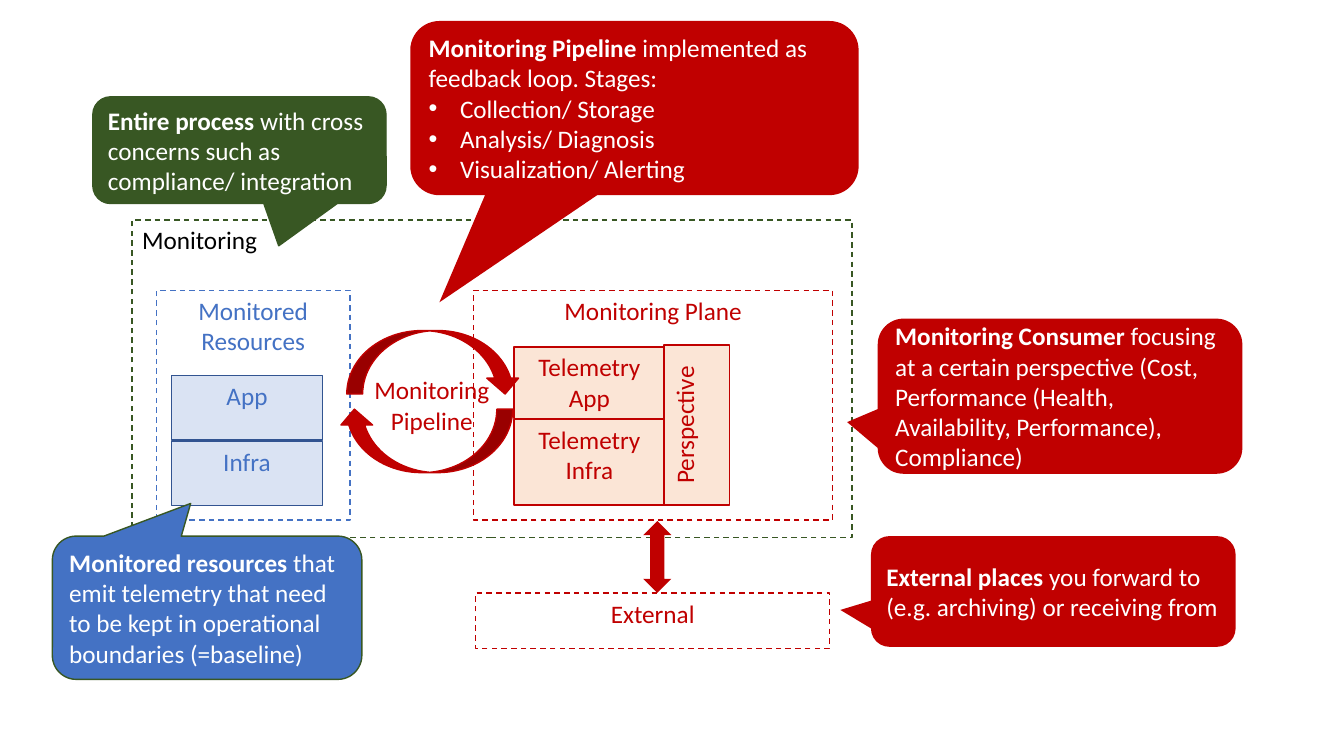
from lxml import etree
from pptx import Presentation
from pptx import util as u
from pptx.dml import color
from pptx.enum import dml, shapes, text
from pptx.oxml import ns

RED, BLUE, GREEN, WHITE = "C00000", "4472C4", "385723", "FFFFFF"
PEACH, PALE_BLUE, DARK_BLUE = "FBE5D6", "DAE3F3", "325491"
SHAPE = shapes.MSO_SHAPE
LEFT, CENTER = text.PP_ALIGN.LEFT, text.PP_ALIGN.CENTER


def rgb(value):
    """Turn a hex string into a colour."""
    return color.RGBColor.from_string(value)


def format_text(frame, ink, align=CENTER, bold_runs=0):
    """Apply font, colour and alignment to every run of a frame."""
    for row, paragraph in enumerate(frame.paragraphs):
        paragraph.alignment = align
        for column, run in enumerate(paragraph.runs):
            run.font.name = "Calibri"
            run.font.size = u.Pt(18)
            run.font.color.rgb = rgb(ink)
            run.font.bold = row == 0 and column < bold_runs


def add_block(parent, kind, box, fill=None, line=None, dashed=False):
    """Add a preset shape with plain fill and outline to a box in cm."""
    shape = parent.add_shape(kind, *map(u.Cm, box))
    shape.shadow.inherit = False
    if fill:
        shape.fill.solid()
        shape.fill.fore_color.rgb = rgb(fill)
    else:
        shape.fill.background()
    if line:
        shape.line.color.rgb = rgb(line)
        shape.line.width = u.Pt(1)
        if dashed:
            shape.line.dash_style = dml.MSO_LINE.DASH
    else:
        shape.line.fill.background()
    return shape


def add_panel(parent, box, label, ink, fill=None, line=None, dashed=False, align=CENTER):
    """Add a rectangle with its label at the top."""
    panel = add_block(parent, SHAPE.RECTANGLE, box, fill, line or ink, dashed)
    panel.text_frame.word_wrap = True
    panel.text_frame.vertical_anchor = text.MSO_ANCHOR.TOP
    panel.text_frame.text = label
    format_text(panel.text_frame, ink, align)
    return panel


def add_callout(parent, box, tail, fill, title, detail, bullets=(), line=None):
    """Add a rounded callout with a bold title, its detail and bullets."""
    callout = add_block(parent, SHAPE.ROUNDED_RECTANGULAR_CALLOUT, box, fill, line)
    for index, value in enumerate((*tail, 0.167)):
        callout.adjustments[index] = value
    frame = callout.text_frame
    frame.word_wrap = True
    frame.vertical_anchor = text.MSO_ANCHOR.MIDDLE
    for part in (title + " ", detail):
        frame.paragraphs[0].add_run().text = part
    for bullet in bullets:
        paragraph = frame.add_paragraph()
        paragraph.text = bullet
        properties = paragraph._p.get_or_add_pPr()
        properties.set("marL", str(u.Cm(0.79)))
        properties.set("indent", str(-u.Cm(0.79)))
        etree.SubElement(properties, ns.qn("a:buFont")).set("typeface", "Arial")
        etree.SubElement(properties, ns.qn("a:buChar")).set("char", "•")
    format_text(frame, WHITE, LEFT, bold_runs=1)


def add_resources(parent, box):
    """Add the monitored resources with their two layers."""
    left, top, width, height = box
    add_panel(parent, box, "Monitored Resources", BLUE, WHITE, dashed=True)
    for index, label in enumerate(("App", "Infra")):
        layer = (left + 0.38, top + 2.15 + index * 1.65, 3.81, 1.62)
        add_panel(parent, layer, label, BLUE, PALE_BLUE, DARK_BLUE)


def add_plane(parent, box):
    """Add the monitoring plane with telemetry and the upright perspective."""
    left, top, width, height = box
    add_panel(parent, box, "Monitoring Plane", RED, WHITE, dashed=True)
    layers = (("App", 1.42, 1.8), ("Infra", 3.25, 2.16))
    for label, offset, depth in layers:
        layer = (left + 1.01, top + offset, 3.81, depth)
        add_panel(parent, layer, "Telemetry\n" + label, RED, PEACH)
    length, depth = 4.04, 1.65
    center_x, center_y = left + 5.62, top + 3.39
    upright = (center_x - length / 2, center_y - depth / 2, length, depth)
    add_panel(parent, upright, "Perspective", RED, PEACH).rotation = 270


def add_pipeline(parent, box):
    """Add the feedback loop of two curved arrows around its label."""
    left, top, width, height = box
    loop = parent.add_group_shape().shapes
    arrow_width, arrow_height = 4.39, 1.6
    corners = ((left + width - arrow_width, top, 0),
               (left, top + height - arrow_height, 180))
    for x, y, angle in corners:
        arrow_box = (x, y, arrow_width, arrow_height)
        add_block(loop, SHAPE.CURVED_DOWN_ARROW, arrow_box, RED, RED).rotation = angle
    label = loop.add_textbox(*map(u.Cm, (left + 0.16, top + 0.99, 4.39, 1.8)))
    label.text_frame.word_wrap = True
    label.text_frame.text = "Monitoring\nPipeline"
    format_text(label.text_frame, RED)


def add_external(parent, box):
    """Add the external place and the double arrow above it."""
    left, top, width, height = box
    add_panel(parent, box, "External", RED, WHITE, dashed=True)
    add_block(parent, SHAPE.UP_DOWN_ARROW, (left + 4.22, top - 1.81, 0.71, 1.81), RED)


def add_callouts(parent):
    """Add the explanations around the diagram."""
    add_callout(parent, (2.34, 2.44, 7.39, 2.69), (0.134, 0.896), GREEN, "Entire process",
                "with cross concerns such as compliance/ integration", line=GREEN)
    add_callout(parent, (1.32, 13.51, 7.8, 3.61), (-0.053, -0.728), BLUE,
                "Monitored resources", "that emit telemetry that need to be kept in "
                "operational boundaries (=baseline)", line=GREEN)
    add_callout(parent, (10.34, 0.53, 11.3, 4.39), (-0.435, 1.115), RED,
                "Monitoring Pipeline", "implemented as feedback loop. Stages:",
                ("Collection/ Storage", "Analysis/ Diagnosis", "Visualization/ Alerting"))
    add_callout(parent, (22.12, 8.03, 9.19, 3.91), (-0.584, 0.167), RED,
                "Monitoring Consumer", "focusing at a certain perspective (Cost, "
                "Performance (Health, Availability, Performance), Compliance)")
    add_callout(parent, (21.95, 13.51, 9.19, 2.79), (-0.584, 0.167), RED,
                "External places", "you forward to (e.g. archiving) or receiving from")


def main():
    """Build the monitoring overview slide and save it."""
    presentation = Presentation()
    presentation.slide_width, presentation.slide_height = u.Cm(33.87), u.Cm(19.05)
    slide = presentation.slides.add_slide(presentation.slide_layouts[6])
    parent = slide.shapes
    add_panel(parent, (3.33, 5.54, 18.14, 8), "Monitoring", "000000",
              line=GREEN, dashed=True, align=LEFT)
    add_plane(parent, (11.94, 7.32, 9.04, 5.79))
    add_resources(parent, (3.94, 7.32, 4.88, 5.79))
    add_pipeline(parent, (8.53, 8.33, 4.6, 3.58))
    add_external(parent, (11.99, 14.94, 8.92, 1.4))
    add_callouts(parent)
    presentation.save("out.pptx")


if __name__ == "__main__":
    main()
